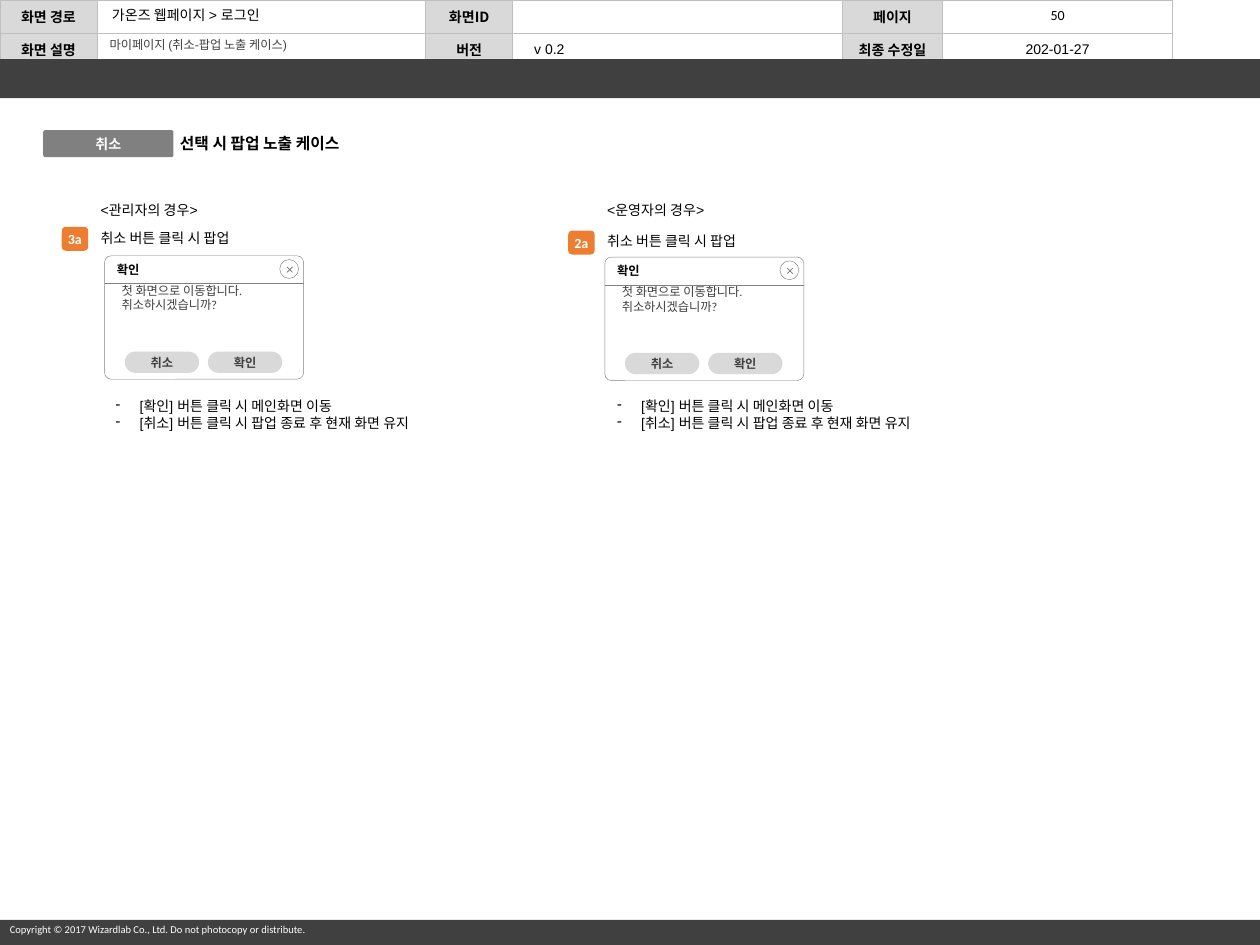
from lxml import etree
from pptx import Presentation
from pptx.dml.color import RGBColor
from pptx.enum.shapes import MSO_CONNECTOR, MSO_SHAPE
from pptx.enum.text import MSO_ANCHOR, PP_ALIGN
from pptx.oxml.ns import qn
from pptx.util import Inches, Pt

BLACK = RGBColor(0, 0, 0)
WHITE = RGBColor(255, 255, 255)
DARK = RGBColor(0x40, 0x40, 0x40)
GRAY = RGBColor(0x80, 0x80, 0x80)
LIGHT = RGBColor(0xD9, 0xD9, 0xD9)
ORANGE = RGBColor(0xED, 0x7D, 0x31)
BORDER = "BFBFBF"
LEFT, CENTER = PP_ALIGN.LEFT, PP_ALIGN.CENTER
TOP, MIDDLE = MSO_ANCHOR.TOP, MSO_ANCHOR.MIDDLE
RECT, ROUND = MSO_SHAPE.RECTANGLE, MSO_SHAPE.ROUNDED_RECTANGLE
OVAL, CROSS = MSO_SHAPE.OVAL, MSO_SHAPE.MATH_MULTIPLY
STRAIGHT = MSO_CONNECTOR.STRAIGHT

HEADER = [
    ["화면 경로", "", "화면ID", "", "페이지", ""],
    ["화면 설명", "", "버전", "v 0.2", "최종 수정일", "202-01-27"],
]
COLUMNS = [0.77, 2.61, 0.69, 2.62, 0.79, 1.83]
TITLE = "마이페이지 (취소-팝업 노출 케이스)"
COPYRIGHT = "Copyright © 2017 Wizardlab Co., Ltd. Do not photocopy or distribute."
CASES = [
    {"name": "<관리자의 경우>", "badge": "3a", "left": 0.7, "top": 1.77,
     "popup": (0.83, 2.03), "notes": 0.82},
    {"name": "<운영자의 경우>", "badge": "2a", "left": 4.72, "top": 1.8,
     "popup": (4.8, 2.04), "notes": 4.8},
]
ACTION = "취소 버튼 클릭 시 팝업"
NOTES = ["[확인] 버튼 클릭 시 메인화면 이동",
         "[취소] 버튼 클릭 시 팝업 종료 후 현재 화면 유지"]
MESSAGE = ["첫 화면으로 이동합니다.", "취소하시겠습니까?"]
BUTTONS = ["취소", "확인"]

PLAIN = {"size": Pt(8), "name": "Arial", "bold": False}
STRONG = {**PLAIN, "bold": True}
HEADING = {**STRONG, "size": Pt(9)}
SMALL = {"size": Pt(7), "name": "Calibri", "bold": False}
LABEL = {**SMALL, "bold": True}
TAG = {**LABEL, "size": Pt(8)}


def write(frame, lines, font, color=BLACK, align=LEFT, anchor=TOP,
          insets=(0.1, 0.05, 0.1, 0.05), bullet=None):
    frame.word_wrap = True
    frame.vertical_anchor = anchor
    for side, inset in zip(("left", "top", "right", "bottom"), insets):
        setattr(frame, "margin_" + side, Inches(inset))
    for index, line in enumerate(lines):
        para = frame.add_paragraph() if index else frame.paragraphs[0]
        para.alignment = align
        if bullet:
            props = para._p.get_or_add_pPr()
            props.set("marL", str(Inches(0.19)))
            props.set("indent", str(Inches(-0.19)))
            etree.SubElement(props, qn("a:buChar")).set("char", bullet)
        span = para.add_run()
        span.text = line
        for key, value in font.items():
            setattr(span.font, key, value)
        span.font.color.rgb = color


def add_text(shapes, place, lines, font, **options):
    box = shapes.add_textbox(*map(Inches, place))
    write(box.text_frame, lines, font, **options)


def add_block(shapes, kind, place, fill, line=None, round_by=None):
    block = shapes.add_shape(kind, *map(Inches, place))
    block.shadow.inherit = False
    block.fill.solid()
    block.fill.fore_color.rgb = fill
    if line:
        block.line.color.rgb = GRAY
        block.line.width = Pt(line)
    else:
        block.line.fill.background()
    if round_by is not None:
        block.adjustments[0] = round_by
    return block


def add_tag(shapes, place, fill, text, font, color, **options):
    block = add_block(shapes, ROUND, place, fill, **options)
    write(block.text_frame, [text], font, color=color, align=CENTER,
          anchor=MIDDLE, insets=(0, 0, 0, 0))


def add_header(page):
    frame = page.shapes.add_table(2, len(COLUMNS), 0, 0,
                                  Inches(sum(COLUMNS)), Inches(0.4))
    table = frame.table
    table.first_row = table.horz_banding = False
    for column, width in zip(table.columns, COLUMNS):
        column.width = Inches(width)
    for r, texts in enumerate(HEADER):
        table.rows[r].height = Inches(0.2)
        for c, text in enumerate(texts):
            cell = table.cell(r, c)
            is_label = c % 2 == 0
            font = dict(STRONG if is_label else PLAIN)
            if text == "화면ID":
                font["name"] = "Noto Sans CJK KR"
            is_version = c == 3
            write(cell.text_frame, [text] if text else [], font,
                  align=LEFT if is_version else CENTER)
            if not text:
                cell.text_frame.paragraphs[0].font.size = Pt(8)
            if is_version:
                cell.text_frame.paragraphs[0]._p.get_or_add_pPr().set(
                    "marL", str(Inches(0.1)))
            cell.vertical_anchor = MIDDLE
            cell.margin_left = cell.margin_right = Inches(0.07)
            cell.margin_top = cell.margin_bottom = Inches(0.05)
            props = cell._tc.get_or_add_tcPr()
            for edge in ("a:lnL", "a:lnR", "a:lnT", "a:lnB"):
                line = etree.SubElement(props, qn(edge), w=str(Pt(0.5)))
                solid = etree.SubElement(line, qn("a:solidFill"))
                etree.SubElement(solid, qn("a:srgbClr"), val=BORDER)
            if is_label:
                cell.fill.solid()
                cell.fill.fore_color.rgb = LIGHT
            else:
                cell.fill.background()


def add_popup(page, left, top):
    shapes = page.shapes.add_group_shape().shapes
    window = add_block(shapes, ROUND, (left, top, 1.58, 0.98), WHITE,
                       line=0.25, round_by=0.054)
    write(window.text_frame, MESSAGE, SMALL, color=DARK,
          insets=(0.12, 0.2, 0.12, 0.39))
    rule = shapes.add_connector(STRAIGHT, *map(
        Inches, (left, top + 0.22, left + 1.58, top + 0.22)))
    rule.line.color.rgb = GRAY
    rule.line.width = Pt(0.25)
    etree.SubElement(rule._element.spPr, qn("a:effectLst"))
    add_text(shapes, (left, top, 0.5, 0.28), ["확인"], LABEL)
    for index, text in enumerate(BUTTONS):
        place = (left + 0.16 + 0.66 * index, top + 0.76, 0.59, 0.17)
        add_tag(shapes, place, LIGHT, text, LABEL, DARK, round_by=0.5)
    add_block(shapes, OVAL, (left + 1.39, top + 0.03, 0.15, 0.15), WHITE, line=0.25)
    add_block(shapes, CROSS, (left + 1.43, top + 0.07, 0.08, 0.08), GRAY,
              line=0.25, round_by=0.032)


def add_case(page, case):
    left, top = case["left"], case["top"]
    add_text(page.shapes, (left, 1.55, 1.07, 0.24), [case["name"]], PLAIN)
    add_tag(page.shapes, (left - 0.21, top + 0.03, 0.21, 0.19), ORANGE,
            case["badge"], TAG, WHITE)
    add_text(page.shapes, (left, top, 2.42, 0.24), [ACTION], PLAIN)
    add_popup(page, *case["popup"])
    add_text(page.shapes, (case["notes"], 3.11, 2.94, 0.37), NOTES, PLAIN, bullet="-")


def main():
    deck = Presentation()
    deck.slide_width, deck.slide_height = Inches(10), Inches(7.5)
    page = deck.slides.add_slide(deck.slide_layouts[5])
    add_header(page)
    for top, height in ((0.47, 0.31), (7.3, 0.2)):
        add_block(page.shapes, RECT, (0, top, 10, height), DARK)
    title = page.shapes.title
    title.left, title.top, title.width, title.height = map(
        Inches, (0.77, 0.24, 2.61, 0.24))
    write(title.text_frame, [TITLE], {**SMALL, "name": "Arial"},
          color=DARK, anchor=MIDDLE)
    title.text_frame.paragraphs[0].line_spacing = 0.9
    add_text(page.shapes, (-0.02, 7.28, 2.95, 0.2), [COPYRIGHT],
             {**SMALL, "size": Pt(6)}, color=WHITE)
    add_text(page.shapes, (7.58, 0, 1.63, 0.24), ["50"],
             {**SMALL, "size": Pt(8)}, align=CENTER)
    add_text(page.shapes, (0.79, 0, 2.59, 0.24), ["가온즈 웹페이지 > 로그인"], PLAIN)
    add_tag(page.shapes, (0.35, 1.04, 1.02, 0.2), GRAY, "취소", TAG, WHITE,
            line=1, round_by=0.05)
    add_text(page.shapes, (1.33, 1.01, 1.64, 0.25), ["선택 시 팝업 노출 케이스"], HEADING)
    for case in CASES:
        add_case(page, case)
    deck.save("out.pptx")


if __name__ == "__main__":
    main()
